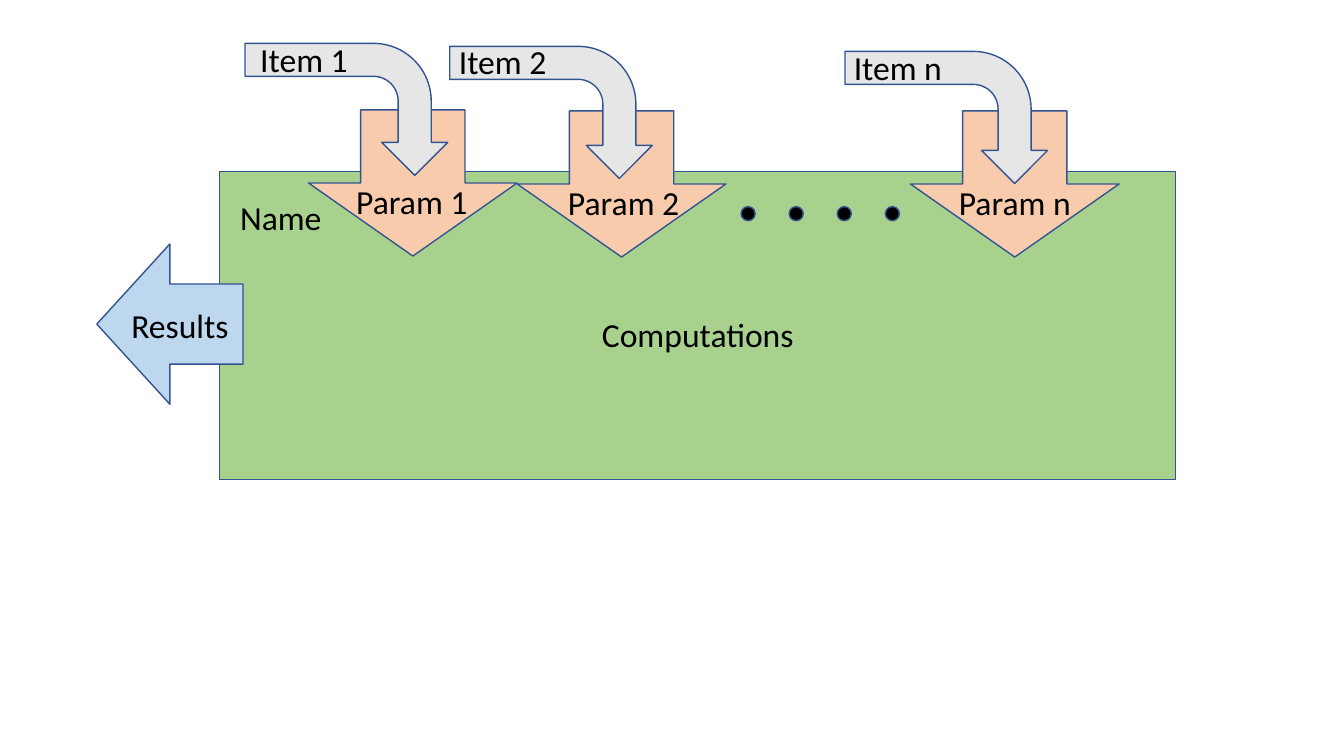
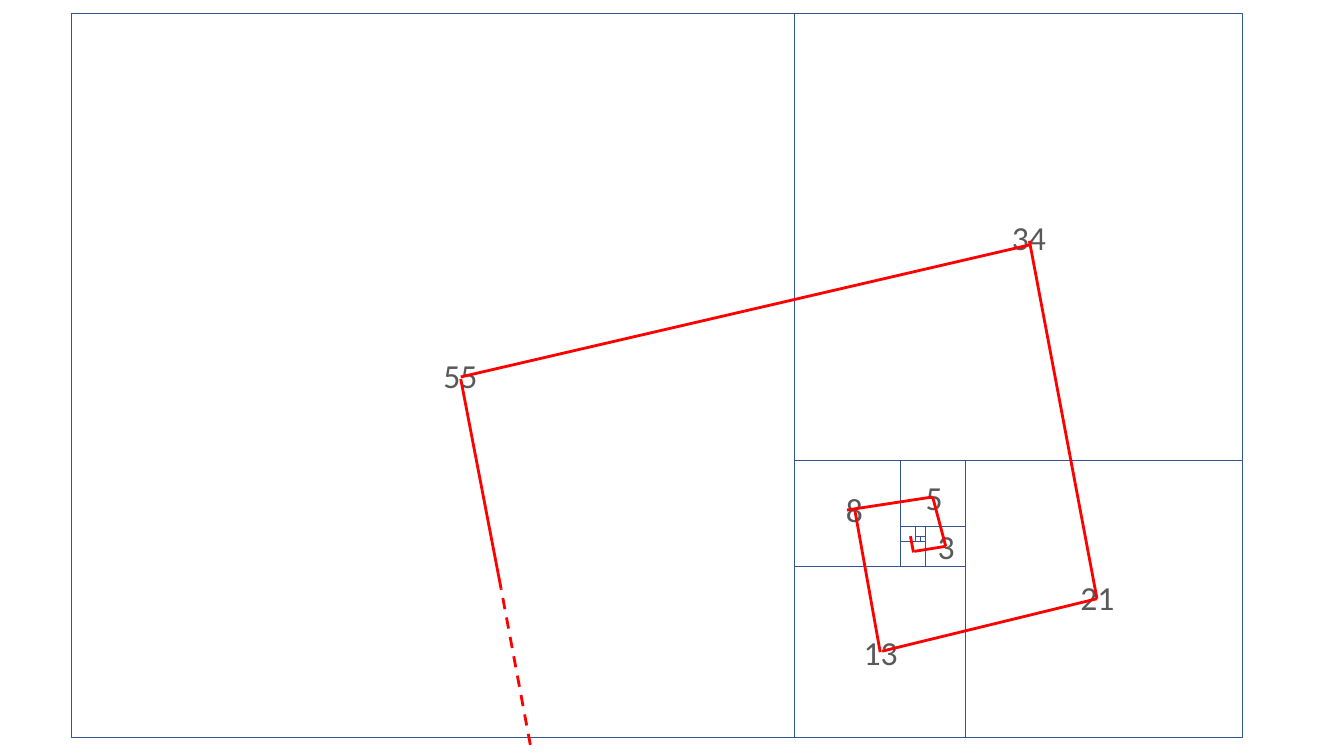
from dataclasses import dataclass
from itertools import cycle

from lxml.etree import SubElement
from pptx import Presentation
from pptx.dml.color import RGBColor
from pptx.enum.dml import MSO_LINE as Dash
from pptx.enum.shapes import MSO_CONNECTOR as Connector, MSO_SHAPE as Preset
from pptx.enum.text import MSO_ANCHOR as Anchor, PP_ALIGN as Align
from pptx.oxml.ns import qn
from pptx.shapes.autoshape import Shape
from pptx.slide import Slide
from pptx.util import Inches, Pt

BLACK, GREY, RED, OUTLINE = "000000", "595959", "FF0000", "325491"
GREEN, BLUE, PEACH, SILVER = "A9D18E", "BDD7EE", "F8CBAD", "E7E6E6"
LABEL_HEIGHT = 0.78
FRAME_FORMAT = {
    "word_wrap": True,
    "vertical_anchor": Anchor.MIDDLE,
    "margin_left": Inches(0),
    "margin_right": Inches(0),
}
FONT_FORMAT = {"name": "Calibri", "size": Pt(24)}


@dataclass(frozen=True)
class Place:
    left: float
    top: float
    width: float
    height: float


@dataclass(frozen=True)
class Label:
    text: str
    left: float
    top: float
    width: float = 1.65
    color: str = BLACK


@dataclass(frozen=True)
class Parameter:
    arrow: tuple[float, float]
    label: Label
    item_arrow: tuple[float, float]
    item_label: Label


@dataclass(frozen=True)
class Segment:
    start: tuple[float, float]
    end: tuple[float, float]
    dashed: bool = False


def rgb(color: str) -> RGBColor:
    return RGBColor.from_string(color)


def set_format(target: object, values: dict) -> None:
    for name, value in values.items():
        setattr(target, name, value)


def draw_shape(page: Slide, preset: Preset, place: Place, fill: str | None = None,
               line_width: float = 1, rotation: float = 0) -> Shape:
    shape = page.shapes.add_shape(preset, Inches(place.left), Inches(place.top),
                                  Inches(place.width), Inches(place.height))
    shape.shadow.inherit = False
    shape.rotation = rotation
    if fill:
        shape.fill.solid()
        shape.fill.fore_color.rgb = rgb(fill)
    else:
        shape.fill.background()
    shape.line.color.rgb = rgb(OUTLINE)
    shape.line.width = Pt(line_width)
    return shape


def draw_label(page: Slide, label: Label) -> None:
    box = page.shapes.add_textbox(Inches(label.left), Inches(label.top),
                                  Inches(label.width), Inches(LABEL_HEIGHT))
    set_format(box.text_frame, FRAME_FORMAT)
    para = box.text_frame.paragraphs[0]
    para.alignment = Align.CENTER
    span = para.add_run()
    span.text = label.text
    set_format(span.font, FONT_FORMAT)
    span.font.color.rgb = rgb(label.color)


def draw_segment(page: Slide, segment: Segment) -> None:
    ends = [Inches(value) for value in segment.start + segment.end]
    connector = page.shapes.add_connector(Connector.STRAIGHT, *ends)
    connector.line.color.rgb = rgb(RED)
    connector.line.width = Pt(2)
    if segment.dashed:
        connector.line.dash_style = Dash.DASH
    SubElement(connector._element.spPr, qn("a:effectLst"))


PARAMETERS = [
    Parameter((3.37, 0.78), Label("Param 1", 3.26, 1.6),
              (2.78, 0.08), Label("Item 1", 2.19, 0.2)),
    Parameter((5.44, 0.79), Label("Param 2", 5.36, 1.61),
              (4.81, 0.11), Label("Item 2", 4.16, 0.22)),
    Parameter((9.34, 0.79), Label("Param n", 9.24, 1.61),
              (8.73, 0.16), Label("Item n", 8.08, 0.28)),
]


def build_function(page: Slide) -> None:
    draw_shape(page, Preset.RECTANGLE, Place(2.18, 1.7, 9.48, 3.06), GREEN)
    draw_label(page, Label("Name", 1.96, 1.76))
    draw_shape(page, Preset.LEFT_ARROW, Place(0.96, 2.42, 1.45, 1.59), BLUE)
    draw_label(page, Label("Results", 0.96, 2.83))
    for parameter in PARAMETERS:
        draw_shape(page, Preset.LEFT_ARROW, Place(*parameter.arrow, 1.45, 2.07),
                   PEACH, rotation=270)
        draw_label(page, parameter.label)
    for index in range(4):
        draw_shape(page, Preset.OVAL, Place(7.35 + 0.477 * index, 2.05, 0.14, 0.14), BLACK)
    for parameter in PARAMETERS:
        draw_shape(page, Preset.BENT_ARROW, Place(*parameter.item_arrow, 1.31, 2.01),
                   SILVER, rotation=90)
        draw_label(page, parameter.item_label)
    draw_label(page, Label("Computations", 5.69, 2.92, 2.46))


SQUARE_COUNT = 12
UNIT = 7.18 / 144
SPIRAL_NUMBERS = [
    ("3", 9.11, 5.03),
    ("5", 8.99, 4.54),
    ("8", 8.2, 4.66),
    ("13", 8.46, 6.08),
    ("21", 10.61, 5.53),
    ("34", 9.93, 1.96),
    ("55", 4.29, 3.33),
]
SPIRAL_SEGMENTS = [
    Segment((9.06, 5.48), (9.03, 5.32)),
    Segment((9.38, 5.42), (9.07, 5.47)),
    Segment((9.25, 4.93), (9.38, 5.42)),
    Segment((9.25, 4.93), (8.4, 5.06)),
    Segment((8.73, 6.47), (8.48, 5.07)),
    Segment((10.88, 5.94), (8.75, 6.46)),
    Segment((10.88, 5.94), (10.21, 2.39)),
    Segment((10.21, 2.43), (4.57, 3.74)),
    Segment((4.97, 5.84), (4.57, 3.76)),
    Segment((5.26, 7.39), (4.97, 5.84), dashed=True),
]


def fibonacci_squares(left: float, top: float) -> list[Place]:
    squares = [Place(left, top, UNIT, UNIT)]
    right, bottom = left + UNIT, top + UNIT
    sides = cycle(["right", "up", "left", "down"])
    while len(squares) < SQUARE_COUNT:
        side = next(sides)
        size = bottom - top if side in ("right", "left") else right - left
        if side == "right":
            squares.append(Place(right, top, size, size))
            right += size
        elif side == "up":
            top -= size
            squares.append(Place(left, top, size, size))
        elif side == "left":
            left -= size
            squares.append(Place(left, top, size, size))
        else:
            squares.append(Place(left, bottom, size, size))
            bottom += size
    return squares


def build_spiral(page: Slide) -> None:
    for square in fibonacci_squares(9.08, 5.32):
        draw_shape(page, Preset.RECTANGLE, square, line_width=0.5)
    for number, left, top in SPIRAL_NUMBERS:
        draw_label(page, Label(number, left, top, 0.55, GREY))
    for segment in SPIRAL_SEGMENTS:
        draw_segment(page, segment)


deck = Presentation()
set_format(deck, {"slide_width": Inches(13.33), "slide_height": Inches(7.5)})
for build in (build_function, build_spiral):
    build(deck.slides.add_slide(deck.slide_layouts[6]))
deck.save("out.pptx")
